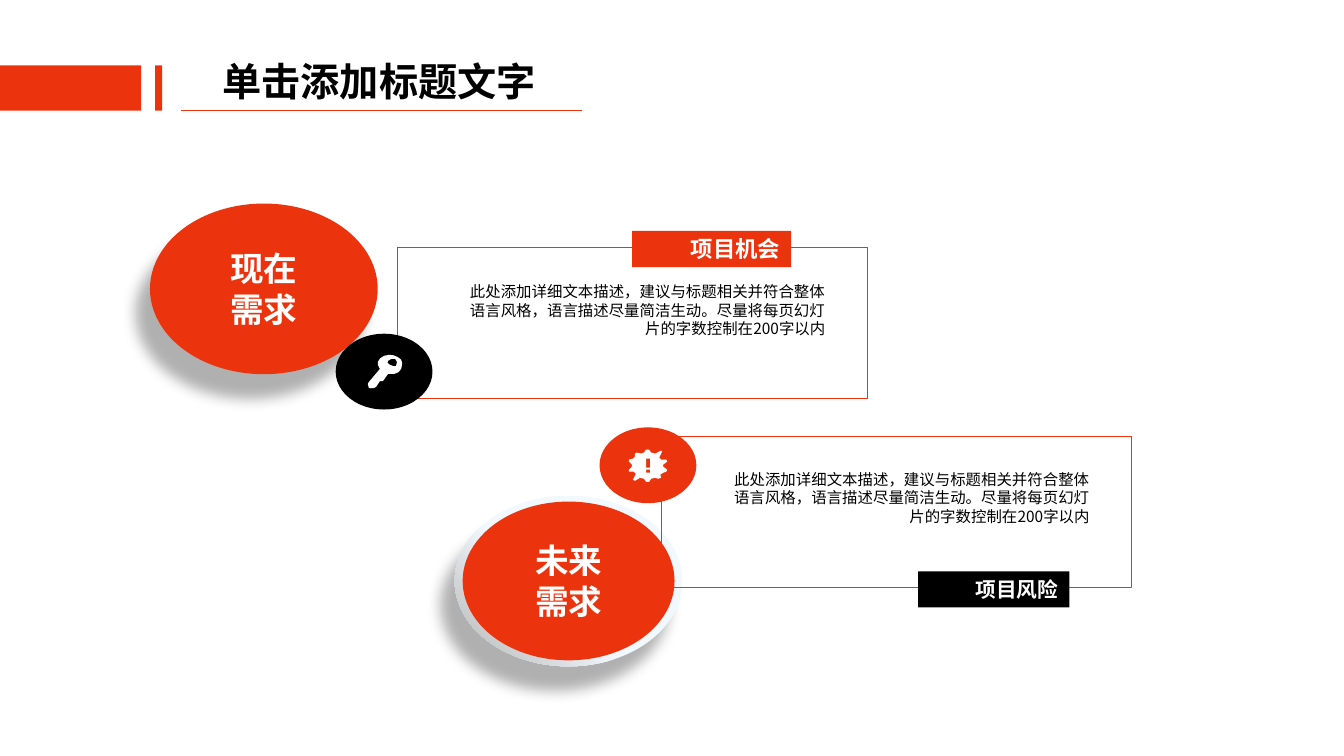
from lxml import etree
from pptx import Presentation
from pptx import util as u
from pptx.dml.color import RGBColor
from pptx.enum import shapes, text
from pptx.oxml import parse_xml
from pptx.oxml.ns import nsdecls, qn

COLORS = {"red": "EB340D", "black": "000000", "white": "FFFFFF"}
FONT = "Noto Sans CJK SC"
BODY = "此处添加详细文本描述，建议与标题相关并符合整体语言风格，语言描述尽量简洁生动。尽量将每页幻灯片的字数控制在200字以内"
SHADOW = f"""<a:effectLst {nsdecls('a')}>
  <a:outerShdw blurRad="127000" dist="254000" dir="7200000" algn="ctr" rotWithShape="0">
    <a:srgbClr val="000000"><a:alpha val="31000"/></a:srgbClr>
  </a:outerShdw></a:effectLst>"""
RIM = f"""<a:gradFill {nsdecls('a')} rotWithShape="1"><a:gsLst>
  <a:gs pos="57000"><a:srgbClr val="F1F8FE"/></a:gs>
  <a:gs pos="92000"><a:srgbClr val="BFBFBF"/></a:gs>
  <a:gs pos="100000"><a:srgbClr val="A6A6A6"/></a:gs>
  </a:gsLst><a:lin ang="8100000" scaled="0"/></a:gradFill>"""

deck = Presentation()
deck.slide_width, deck.slide_height = u.Cm(33.87), u.Cm(19.05)
page = deck.slides.add_slide(deck.slide_layouts[6])


def add_block(kind, left, top, width, height, color):
    block = page.shapes.add_shape(kind, u.Cm(left), u.Cm(top), u.Cm(width), u.Cm(height))
    block.shadow.inherit = False
    block.fill.solid()
    block.fill.fore_color.rgb = RGBColor.from_string(COLORS[color])
    block.line.fill.background()
    return block


def write(box, words, size, color, align, bold=True, wrap=True):
    frame = box.text_frame
    frame.text = words
    frame.word_wrap = wrap
    for para in frame.paragraphs:
        para.alignment = align
        for span in para.runs:
            span.font.size = u.Pt(size)
            span.font.bold = bold
            span.font.name = FONT
            span.font.color.rgb = RGBColor.from_string(COLORS[color])
            etree.SubElement(span.font._element, qn("a:ea"), typeface=FONT)


OVAL, RECT = shapes.MSO_SHAPE.OVAL, shapes.MSO_SHAPE.RECTANGLE
LEFT, CENTER, RIGHT = text.PP_ALIGN.LEFT, text.PP_ALIGN.CENTER, text.PP_ALIGN.RIGHT
GROW = text.MSO_AUTO_SIZE.SHAPE_TO_FIT_TEXT

needs = [("现在\n需求", 6.65, 7.28, False), ("未来\n需求", 14.33, 14.64, True)]
for words, x, y, has_rim in needs:
    disc = add_block(OVAL, x - 2.87, y - 2.15, 5.74, 4.3, "red")
    props = disc._element.spPr
    if has_rim:
        props.replace(props.find(qn("a:solidFill")), parse_xml(RIM))
    props.replace(props.find(qn("a:effectLst")), parse_xml(SHADOW))
    add_block(OVAL, x - 2.67, y - 2, 5.34, 4, "red")
    label = page.shapes.add_textbox(u.Cm(x - 1.12), u.Cm(y - 1.15), u.Cm(2.24), u.Cm(2.3))
    write(label, words, 24, "white", CENTER, wrap=False)
    label.text_frame.auto_size = GROW

for left, top in [(10.01, 6.22), (16.66, 11)]:
    outline = add_block(RECT, left, top, 11.84, 3.81, "red")
    outline.fill.background()
    outline.line.color.rgb = RGBColor.from_string(COLORS["red"])
    outline.line.width = u.Pt(0.25)

BURST = [
    [(6450, 4640), (6410, 4640), (6410, 4550), (6450, 4550)],
    [(6450, 4690), (6410, 4690), (6410, 4660), (6450, 4660)],
    [(6620, 4660), (6580, 4630), (6580, 4610), (6620, 4580), (6610, 4560), (6560, 4560),
     (6540, 4540), (6570, 4480), (6560, 4470), (6500, 4500), (6460, 4490), (6440, 4460),
     (6410, 4460), (6390, 4490), (6360, 4500), (6320, 4490), (6300, 4500), (6300, 4530),
     (6280, 4550), (6240, 4560), (6240, 4580), (6270, 4610), (6270, 4630), (6240, 4660),
     (6240, 4680), (6290, 4680), (6310, 4700), (6280, 4760), (6300, 4770), (6350, 4740),
     (6390, 4750), (6410, 4780), (6440, 4780), (6460, 4750), (6500, 4740), (6530, 4750),
     (6560, 4740), (6550, 4710), (6580, 4690), (6610, 4680)],
]
KEY = [
    [(3930, 3630), (3910, 3634), (3870, 3620), (3845, 3600), (3850, 3580), (3880, 3562),
     (3920, 3560), (3940, 3590)],
    [(3990, 3600), (3979, 3567), (3944, 3541), (3905, 3525), (3860, 3520), (3810, 3530),
     (3772, 3555), (3750, 3588), (3750, 3620), (3770, 3660), (3660, 3790), (3650, 3810),
     (3660, 3850), (3680, 3852), (3710, 3850), (3730, 3840), (3770, 3780), (3800, 3780),
     (3850, 3710), (3910, 3710), (3955, 3692), (3983, 3655)],
]
for left, top, color, contours in [(15.11, 10.77, "red", BURST), (8.46, 8.41, "black", KEY)]:
    add_block(OVAL, left, top, 2.44, 1.91, color)
    builder = page.shapes.build_freeform(*contours[0][0], scale=u.Cm(2.54) / 1000)
    for contour in contours:
        builder.move_to(*contour[0])
        builder.add_line_segments(contour[1:], close=True)
    icon = builder.convert_to_shape()
    icon.shadow.inherit = False
    icon.fill.solid()
    icon.fill.fore_color.rgb = RGBColor.from_string(COLORS["white"])
    icon.line.fill.background()

for left, top in [(11.48, 6.99), (18.14, 11.71)]:
    body = page.shapes.add_textbox(u.Cm(left), u.Cm(top), u.Cm(9.6), u.Cm(1.7))
    write(body, BODY, 11, "black", RIGHT, bold=False)
    frame = body.text_frame
    frame.auto_size = GROW
    frame.margin_left = frame.margin_right = u.Cm(0.28)

tags = [("项目机会", 15.93, 5.82, 4.01, "red", 16), ("项目风险", 23.14, 14.4, 3.81, "black", 14.8)]
for words, left, top, width, color, size in tags:
    tag = add_block(RECT, left, top, width, 0.91, color)
    write(tag, words, size, "white", RIGHT)
    frame = tag.text_frame
    frame.vertical_anchor = text.MSO_ANCHOR.MIDDLE
    frame.margin_left, frame.margin_right = u.Cm(0.33), u.Cm(0.28)
    frame.margin_top = frame.margin_bottom = u.Cm(0.15)

for left, width in [(3.91, 0.18), (0, 3.56)]:
    add_block(RECT, left, 1.65, width, 1.14, "red")

title = page.shapes.add_textbox(u.Cm(5.36), u.Cm(1.32), u.Cm(8.48), u.Cm(1.45))
write(title, "单击添加标题文字", 28, "black", LEFT, wrap=False)
title.text_frame.auto_size = GROW

rule = page.shapes.add_connector(
    shapes.MSO_CONNECTOR.STRAIGHT, u.Cm(4.57), u.Cm(2.79), u.Cm(14.66), u.Cm(2.79))
rule.line.color.rgb = RGBColor.from_string(COLORS["red"])
rule.line.width = u.Pt(0.5)
etree.SubElement(rule._element.spPr, qn("a:effectLst"))

deck.save("out.pptx")
